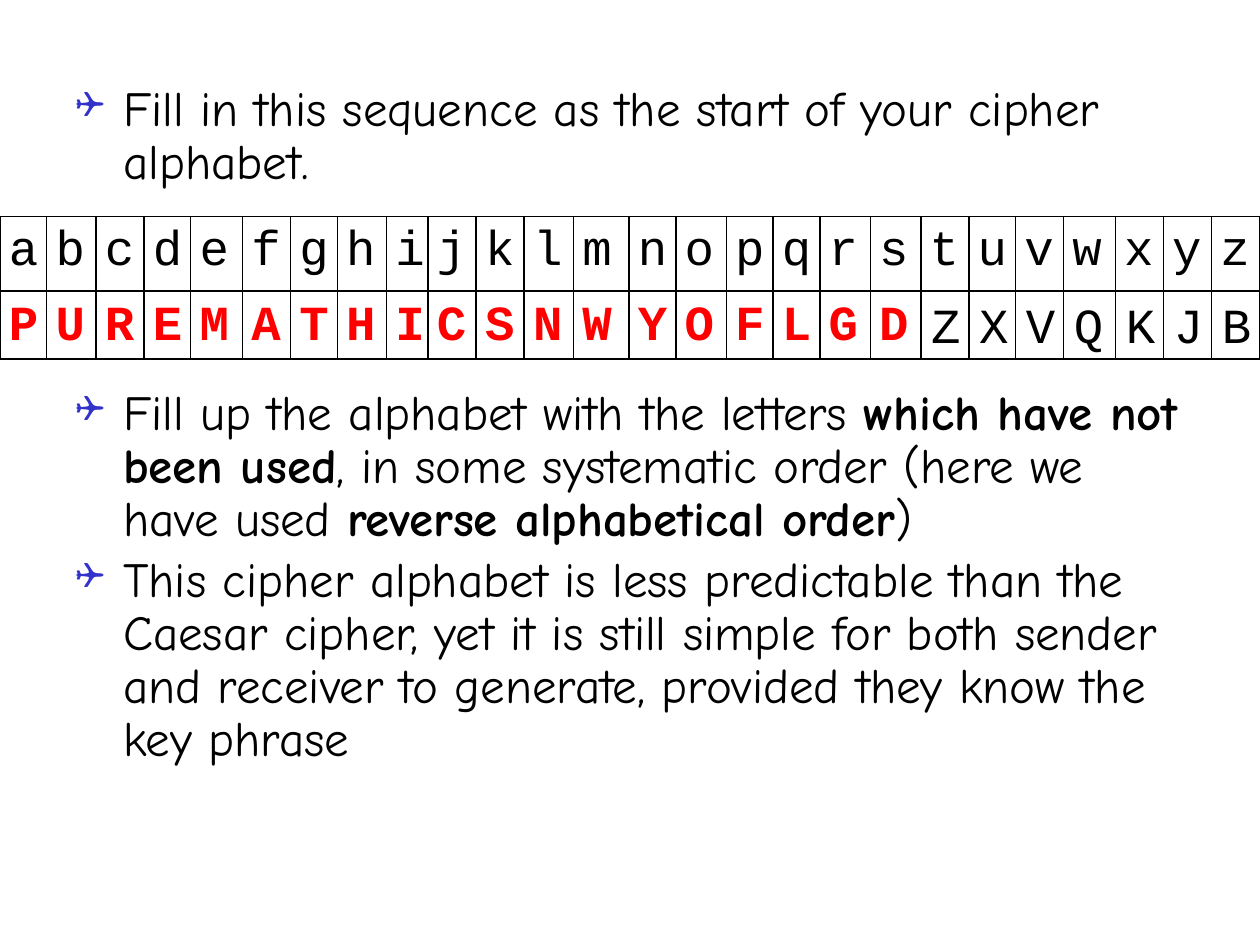
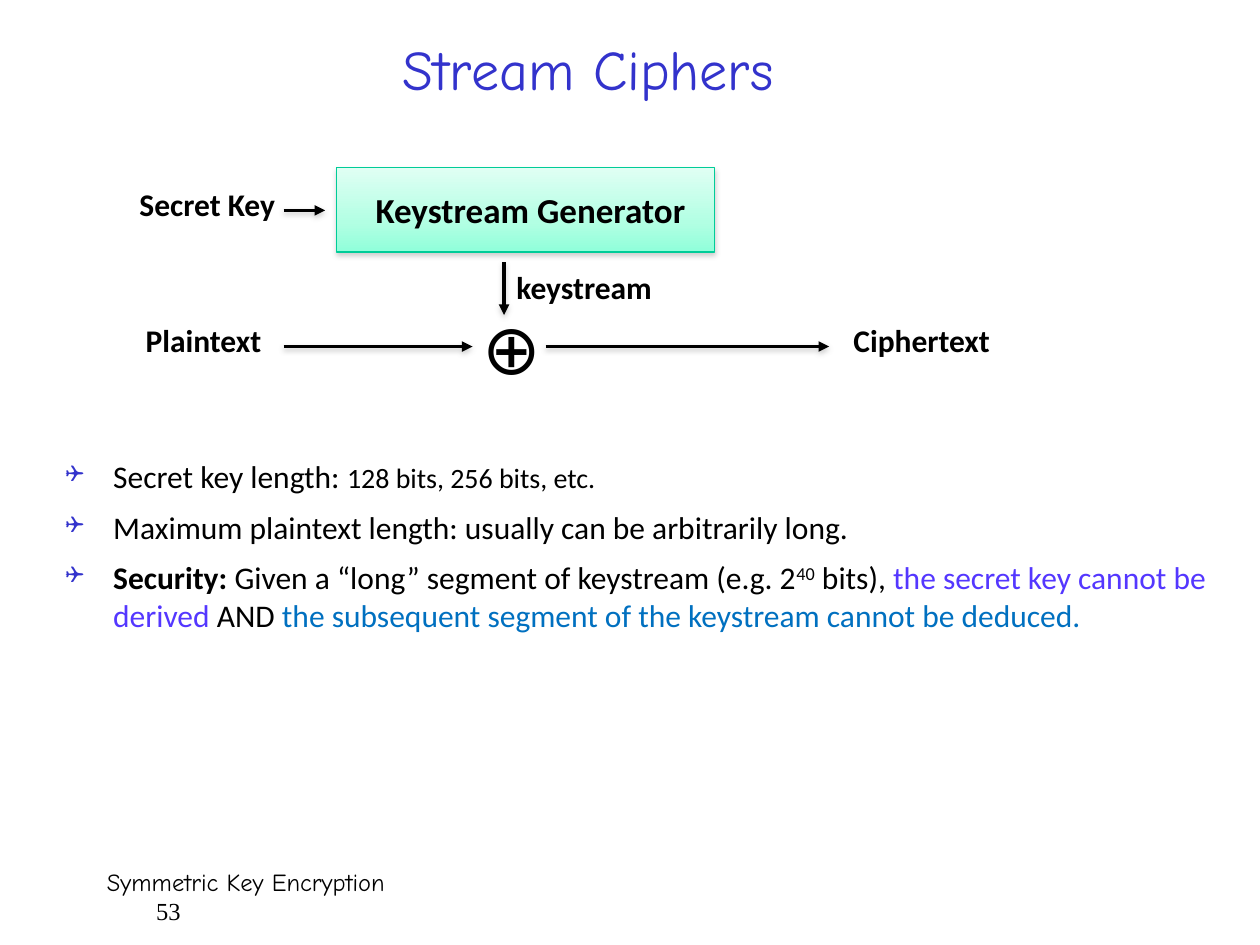
import copy
import dataclasses
import lxml.etree
import pptx
import pptx.dml.color
import pptx.enum.shapes
import pptx.enum.text
import pptx.oxml.ns
import pptx.util

Inches = pptx.util.Inches
Pt = pptx.util.Pt
Align = pptx.enum.text.PP_ALIGN
Anchor = pptx.enum.text.MSO_ANCHOR
Shape = pptx.enum.shapes.MSO_SHAPE
qname = pptx.oxml.ns.qn


@dataclasses.dataclass(frozen=True)
class Theme:
    ink: str = "000000"
    blue: str = "3333CC"
    red: str = "FF0000"
    violet: str = "5437FF"
    azure: str = "0070C0"
    edge: str = "00CC98"
    shade: str = "808080"
    mint: tuple = ((0, "E0FFF4"), (0.65, "B2FFE3"), (1, "90FFDA"))
    hand: str = "Comic Neue"
    plain: str = "Calibri"
    code: str = "Courier New"
    serif: str = "Times New Roman"
    mark: str = "Wingdings"
    head: int = 32
    large: int = 28
    sign: int = 40
    block: int = 20
    body: int = 18
    small: int = 16
    foot: int = 14


THEME = Theme()
WIDTHS = (0.37, 0.39, 0.38, 0.37, 0.41, 0.38, 0.37, 0.39, 0.33,
          0.38, 0.38, 0.39, 0.44, 0.37, 0.4, 0.37, 0.37, 0.4,
          0.4, 0.38, 0.37, 0.38, 0.41, 0.38, 0.38, 0.38)
CLEAR = "abcdefghijklmnopqrstuvwxyz"
KEYED = "PUREMATHICSNWYOFLGD"
REST = "ZXVQKJB"


def color(code):
    return pptx.dml.color.RGBColor.from_string(code)


def child(node, tag, **attrs):
    return lxml.etree.SubElement(node, qname(tag), attrs)


def add_run(para, text, font, size, ink=THEME.ink, bold=False, lift=0):
    run = para.add_run()
    run.text = text
    run.font.name = font
    run.font.size = Pt(size)
    run.font.bold = bold
    run.font.color.rgb = color(ink)
    if lift:
        run._r.get_or_add_rPr().set("baseline", str(lift * 1000))


def add_box(slide, box, wrap=True, inset=True):
    frame = slide.shapes.add_textbox(*map(Inches, box)).text_frame
    frame.word_wrap = wrap
    if not inset:
        frame.margin_left = frame.margin_right = 0
        frame.margin_top = frame.margin_bottom = 0
    return frame


def add_label(slide, box, text, size=THEME.body, align=Align.CENTER, **kind):
    para = add_box(slide, box, **kind).paragraphs[0]
    para.alignment = align
    add_run(para, text, THEME.plain, size, bold=True)


def add_list(slide, box, items, font, size, gaps, pitch=1.0):
    frame = add_box(slide, box)
    for index, (item, gap) in enumerate(zip(items, gaps)):
        para = frame.paragraphs[0] if index == 0 else frame.add_paragraph()
        props = para._p.get_or_add_pPr()
        indent = Inches(0.38)
        props.set("marL", str(indent))
        props.set("indent", str(-indent))
        child(child(props, "a:buClr"), "a:srgbClr", val=THEME.blue)
        child(props, "a:buSzPct", val="75000")
        child(props, "a:buFont", typeface=THEME.mark)
        child(props, "a:buChar", char="❑")
        para.line_spacing = pitch
        para.space_before = Pt(gap)
        for text, style in item:
            add_run(para, text, **{"font": font, "size": size, **style})


def add_shade(shape):
    props = shape._element.spPr
    old = props.find(qname("a:effectLst"))
    if old is not None:
        props.remove(old)
    glow = child(child(props, "a:effectLst"), "a:outerShdw",
                 blurRad=str(Pt(3.1)), dist=str(Pt(1.6)), dir="5400000",
                 algn="ctr", rotWithShape="0")
    child(child(glow, "a:srgbClr", val=THEME.shade), "a:alpha", val="38000")


def add_arrow(slide, start, end):
    line = slide.shapes.add_connector(
        pptx.enum.shapes.MSO_CONNECTOR.STRAIGHT, *map(Inches, start + end))
    line.line.color.rgb = color(THEME.ink)
    line.line.width = Pt(2)
    child(line._element.spPr.find(qname("a:ln")), "a:tailEnd", type="triangle")
    add_shade(line)


def add_block(slide, box):
    block = slide.shapes.add_shape(Shape.RECTANGLE, *map(Inches, box))
    block.shadow.inherit = False
    block.fill.gradient()
    block.fill.gradient_angle = 270
    stops = block._element.spPr.find(".//" + qname("a:gsLst"))
    stops.append(copy.deepcopy(stops[0]))
    for stop, (place, tint) in zip(block.fill.gradient_stops, THEME.mint):
        stop.position = place
        stop.color.rgb = color(tint)
    block.line.color.rgb = color(THEME.edge)
    block.line.width = Pt(0.75)
    add_shade(block)


def add_grid(slide, box, widths, heights):
    size = len(heights), len(widths)
    grid = slide.shapes.add_table(*size, *map(Inches, box)).table
    grid.first_row = grid.horz_banding = False
    scale = box[2] / sum(widths)
    for column, width in zip(grid.columns, widths):
        column.width = Inches(width * scale)
    for row, height in zip(grid.rows, heights):
        row.height = Inches(height)
    return grid


def set_cell(cell, text, ink=THEME.ink, bold=False, anchor=Anchor.TOP,
             inset=0.07, rule=True):
    cell.margin_left = cell.margin_right = Inches(inset)
    cell.margin_top = cell.margin_bottom = 0
    cell.vertical_anchor = anchor
    props = cell._tc.get_or_add_tcPr()
    for side in "LRTB":
        edge = child(props, "a:ln" + side, w=str(Pt(1)))
        if rule:
            child(child(edge, "a:solidFill"), "a:srgbClr", val=THEME.ink)
        else:
            child(edge, "a:noFill")
    cell.fill.background()
    if text:
        para = cell.text_frame.paragraphs[0]
        para.line_spacing = 1.15
        para.space_after = Pt(10)
        add_run(para, text, THEME.code, THEME.large, ink, bold)


def add_cipher(slide, box):
    left, top, width, height = box
    grid = add_grid(slide, box, WIDTHS, (0.59, 0.54))
    for index, plain in enumerate(CLEAR):
        set_cell(grid.cell(0, index), plain)
        coded = KEYED[index:index + 1]
        set_cell(grid.cell(1, index), coded, THEME.red, True)
    span, deep = 2.69, 0.57
    spot = (left + width - span, top + height - deep, span, deep)
    tail = add_grid(slide, spot, WIDTHS[len(KEYED):], (deep,))
    for index, coded in enumerate(REST):
        set_cell(tail.cell(0, index), coded, anchor=Anchor.BOTTOM,
                 inset=0.08, rule=False)


def add_title(slide, box, text):
    title = slide.shapes.title
    title.left, title.top, title.width, title.height = map(Inches, box)
    frame = title.text_frame
    frame.auto_size = pptx.enum.text.MSO_AUTO_SIZE.NONE
    frame.vertical_anchor = Anchor.MIDDLE
    para = frame.paragraphs[0]
    para.alignment = Align.CENTER
    add_run(para, text, THEME.hand, THEME.head, THEME.blue)


def add_footer(slide, box, text, number):
    frame = add_box(slide, box)
    add_run(frame.paragraphs[0], text, THEME.hand, THEME.foot)
    para = frame.add_paragraph()
    para._p.get_or_add_pPr().set("marL", str(Inches(0.39)))
    add_run(para, number, THEME.serif, THEME.foot)


def add_stream(slide, box):
    left, top = box[:2]

    def place(x, y, *size):
        return (left + x, top + y) + size

    add_block(slide, place(1.67, 0, 3, 0.67))
    for start, end in (((3, 0.75), (3, 1.17)),
                       ((1.25, 0.34), (1.58, 0.34)),
                       ((1.25, 1.42), (2.75, 1.42)),
                       ((3.33, 1.42), (5.58, 1.42))):
        add_arrow(slide, place(*start), place(*end))
    for text, spot in (("Secret Key", (0, 0.09, 1.29, 0.4)),
                       ("Plaintext", (0.05, 1.17, 1.13, 0.4)),
                       ("Ciphertext", (5.67, 1.17, 1.29, 0.4))):
        add_label(slide, place(*spot), text, wrap=False)
    add_label(slide, place(3, 0.75, 1.28, 0.4), "keystream",
              align=Align.LEFT, wrap=False)
    add_label(slide, place(1.75, 0.17, 2.92, 0.33), "Keystream Generator",
              THEME.block, inset=False)
    sign = add_box(slide, place(2.83, 1.09, 0.43, 0.67), False, False)
    add_run(sign.paragraphs[0], "⊕", THEME.hand, THEME.sign)


def build_cipher(deck):
    slide = deck.slides.add_slide(deck.slide_layouts[6])
    strong = {"bold": True}
    add_list(slide, (0.5, 0.62, 9, 6.41), [
        [("Fill in this sequence as the start of your cipher alphabet.", {})],
        [("Fill up the alphabet with the letters ", {}),
         ("which have not been used", strong),
         (", in some systematic order (here we have used ", {}),
         ("reverse alphabetical order", strong),
         (")", {})],
        [("This cipher alphabet is less predictable than the Caesar cipher, "
          "yet it is still simple for both sender and receiver to generate, "
          "provided they know the key phrase", {})],
    ], THEME.hand, THEME.large, (0, 113, 5), 0.9)
    add_cipher(slide, (0, 1.72, 10, 1.12))


def build_stream(deck):
    slide = deck.slides.add_slide(deck.slide_layouts[5])
    add_title(slide, (0.42, 0.25, 8.5, 0.58), "Stream Ciphers")
    add_stream(slide, (1, 1.33, 6.96, 1.76))
    add_list(slide, (0.42, 3.58, 9.42, 2.25), [
        [("Secret key length: ", {}),
         ("128 bits, 256 bits, etc.", {"size": THEME.small})],
        [("Maximum plaintext length: usually can be arbitrarily long.", {})],
        [("Security:", {"bold": True}),
         (" Given a “long” segment of keystream (e.g. 2", {}),
         ("40", {"lift": 30}),
         (" bits), ", {}),
         ("the secret key cannot be derived", {"ink": THEME.violet}),
         (" AND ", {}),
         ("the subsequent segment of the keystream cannot be deduced.",
          {"ink": THEME.azure})],
    ], THEME.plain, THEME.body, (0, 7.2, 7.2))
    add_footer(slide, (0.75, 6.83, 8.58, 0.5), "Symmetric Key Encryption", "53")


def main():
    deck = pptx.Presentation()
    deck.slide_width = Inches(10)
    deck.slide_height = Inches(7.5)
    build_cipher(deck)
    build_stream(deck)
    deck.save("out.pptx")


if __name__ == "__main__":
    main()
